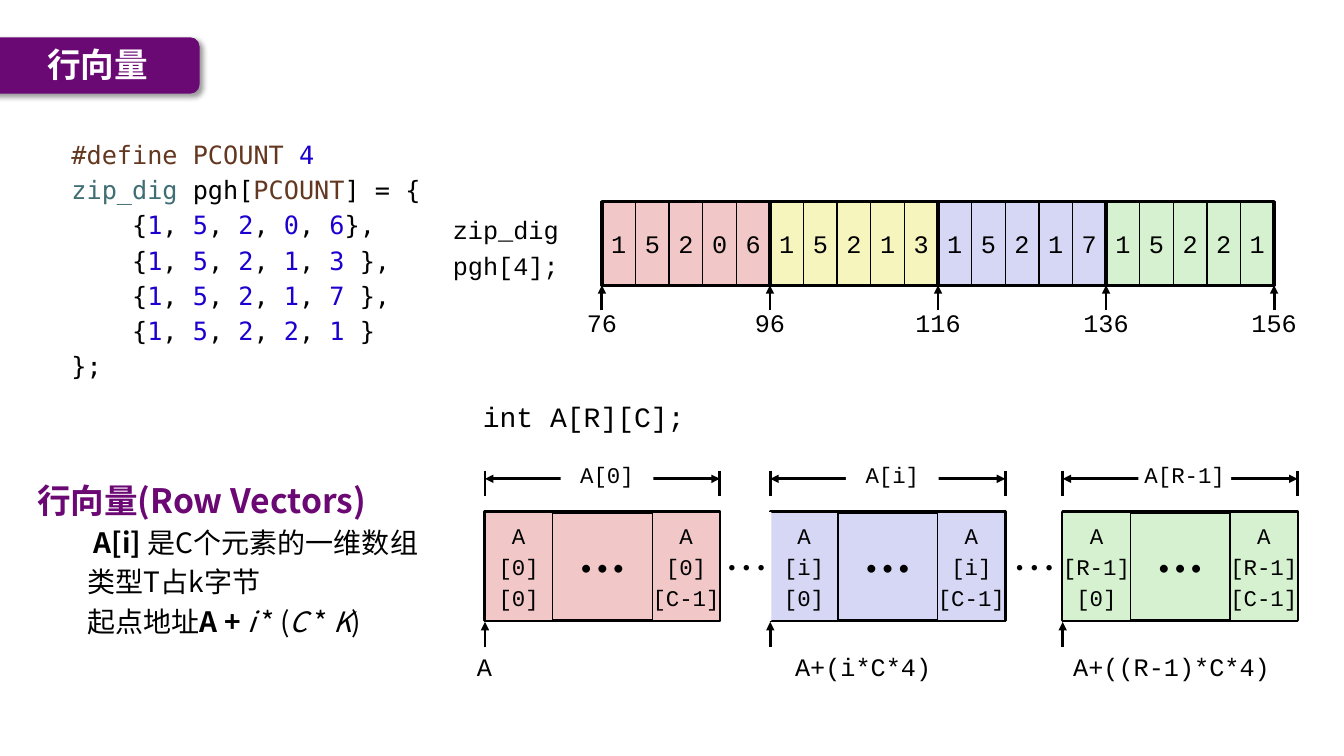
from lxml import etree
from pptx import Presentation
from pptx import util as u
from pptx.dml.color import RGBColor
from pptx.enum import shapes, text
from pptx.oxml import parse_xml
from pptx.oxml.ns import nsdecls, qn

rgb = RGBColor.from_string
MONO, CODE, SANS, DOTS = "Courier New", "DejaVu Sans Mono", "Noto Sans CJK SC", "Calibri"
BLACK, WHITE, PURPLE = "000000", "FFFFFF", "6A0874"
PINK, YELLOW, LAVENDER, GREEN = "F1C7C7", "F6F5BD", "D6D6F5", "D5F1CF"
BROWN, BLUE, TEAL = "643820", "1C00CF", "3F6E74"
CENTER, LEFT, RIGHT = text.PP_ALIGN.CENTER, text.PP_ALIGN.LEFT, text.PP_ALIGN.RIGHT

prs = Presentation()
prs.slide_width, prs.slide_height = u.Inches(13.33), u.Inches(7.5)
s = prs.slides.add_slide(prs.slide_layouts[6])


def add_box(at, paras=(), size=18, font=MONO, fill=None, line=None, align=CENTER,
            wrap=False, middle=False, kind="RECTANGLE"):
    """Add a shape, or a text box if it has no fill or line.

    A paragraph is a list of runs: (text, format values that differ).
    """
    at = [u.Inches(v) for v in at]
    if fill or line:
        sp = s.shapes.add_shape(shapes.MSO_SHAPE[kind], *at)
        sp.shadow.inherit = False
        if fill:
            sp.fill.solid()
            sp.fill.fore_color.rgb = rgb(fill)
        else:
            sp.fill.background()
        if line:
            sp.line.color.rgb, sp.line.width = rgb(BLACK), u.Pt(line)
        else:
            sp.line.fill.background()
    else:
        sp = s.shapes.add_textbox(*at)
    tf = sp.text_frame
    tf.word_wrap = wrap
    tf.vertical_anchor = text.MSO_ANCHOR.MIDDLE if middle or fill else text.MSO_ANCHOR.TOP
    for i, runs in enumerate(paras):
        p = tf.add_paragraph() if i else tf.paragraphs[0]
        p.alignment = align
        if i:
            p.space_before = u.Pt(round(0.2 * size, 1))
        for content, values in runs:
            r = p.add_run()
            r.text = content
            form = {"name": font, "size": u.Pt(size), "color": BLACK, **values}
            r.font.color.rgb = rgb(form.pop("color"))
            for name, value in form.items():
                setattr(r.font, name, value)
            etree.SubElement(r.font._element, qn("a:ea")).set("typeface", font)
    return sp


def add_line(x1, y1, x2, y2, heads=()):
    """Add a black line; heads may hold "headEnd" (start) and "tailEnd" (end)."""
    ends = [u.Inches(v) for v in (x1, y1, x2, y2)]
    c = s.shapes.add_connector(shapes.MSO_CONNECTOR.STRAIGHT, *ends)
    c.line.color.rgb, c.line.width = rgb(BLACK), u.Pt(2)
    for head in heads:
        etree.SubElement(c.line._get_or_add_ln(), qn("a:" + head)).set("type", "triangle")
    etree.SubElement(c._element.spPr, qn("a:effectLst"))


# Title banner
banner = add_box((-0.2, 0.37, 2.18, 0.56), fill=PURPLE, kind="ROUNDED_RECTANGLE")
banner_pr = banner._element.spPr
banner_pr.remove(banner_pr.find(qn("a:effectLst")))
banner_pr.append(parse_xml(
    f'<a:effectLst {nsdecls("a")}><a:outerShdw blurRad="50800" dist="38100" dir="2700000">'
    '<a:srgbClr val="000000"><a:alpha val="40000"/></a:srgbClr></a:outerShdw></a:effectLst>'))
add_box((0.37, 0.36, 1.42, 0.55), [[("行向量", {"color": WHITE, "bold": True})]],
        24, SANS, align=LEFT, wrap=True, middle=True)

# Code listing
pgh = [(1, 5, 2, 0, 6), (1, 5, 2, 1, 3), (1, 5, 2, 1, 7), (1, 5, 2, 2, 1)]
code = [
    [("#define PCOUNT ", {"color": BROWN}), ("4", {"color": BLUE})],
    [("zip_dig ", {"color": TEAL}), ("pgh[", {}), ("PCOUNT", {"color": BROWN}), ("] = {", {})],
]
for digits, closing in zip(pgh, ("},", " },", " },", " }")):
    runs = [("    {", {})]
    for i, digit in enumerate(digits):
        if i:
            runs.append((", ", {}))
        runs.append((str(digit), {"color": BLUE}))
    code.append(runs + [(closing, {})])
code.append([("};", {})])
add_box((0.61, 1.33, 6.78, 2.58), code, font=CODE, align=LEFT, wrap=True)

# Memory strip of pgh
strip_x, strip_y, cell_h = 5.97, 2, 0.83
row_w = 5 / 3
cell_w = row_w / 5
add_box((4.38, 2.08, 1.26, 0.77), [[("zip_dig", {})], [("pgh[4];", {})]], align=RIGHT)
for i in range(5):
    x = strip_x + i * row_w
    add_line(x, 3.08, x, 2.83, ["tailEnd"])
    add_box((x - 0.33, 3, 0.66, 0.4), [[(str(76 + 20 * i), {})]])
for i, (digits, color) in enumerate(zip(pgh, (PINK, YELLOW, LAVENDER, GREEN))):
    for j, digit in enumerate(digits):
        add_box((strip_x + i * row_w + j * cell_w, strip_y, cell_w, cell_h),
                [[(str(digit), {})]], fill=color, line=1)
for i in range(len(pgh)):
    add_box((strip_x + i * row_w, strip_y, row_w, cell_h), line=2.25)

# Row vector notes
bold, italic = {"bold": True}, {"italic": True}
notes = add_box((0.27, 4.63, 4.22, 1.59), [
    [("行向量(Row Vectors)", {"size": u.Pt(24), "color": "6B0874", "bold": True})],
    [("A[i] ", bold), ("是C个元素的一维数组", {})],
    [("类型T占k字节", {})],
    [("起点地址", {}), ("A + ", bold), ("i", italic), (" * (", {}), ("C ", italic),
     ("* ", {}), ("K", italic), (")", {})],
], 20, SANS, align=LEFT, wrap=True)
notes.text_frame.paragraphs[0].line_spacing = 1.2
for p, indent in zip(notes.text_frame.paragraphs, (0, 0.56, 0.5, 0.5)):
    p._p.get_or_add_pPr().set("marL", str(u.Inches(indent)))

# Rows of A: index, left edge, colour, address and its box, gap dots (left, width)
add_box((4.69, 3.91, 2.6, 0.43), [[("int A[R][C];", {})]], 20, align=LEFT)
block_y, block_w, block_h, end_w = 5.08, 2.33, 1.08, 0.67
rows = [
    ("i", 7.64, LAVENDER, "A+(i*C*4)", 7.57, 1.98, (9.9, 0.72)),
    ("R-1", 10.54, GREEN, "A+((R-1)*C*4)", 10.37, 2.5, None),
    ("0", 4.81, PINK, "A", 4.59, 0.43, (7.16, 0.49)),
]
for index, x, color, address, address_x, address_w, gap in rows:
    right = x + block_w
    if gap:
        dots = add_box((gap[0], block_y, gap[1], block_h), [[("• • •", {})]], 11, DOTS, WHITE)
        dots.text_frame.paragraphs[0].runs[0].font._element.set("spc", "125")
    add_box((x, block_y, block_w, block_h), [[("• • •", {})]], 16, DOTS, color, 2.25)
    for cell_x, column in ((x, "0"), (right - end_w, "C-1")):
        add_box((cell_x, block_y, end_w, block_h),
                [[("A", {})], [(f"[{index}]", {})], [(f"[{column}]", {})]], 16, fill=color, line=1)
    for edge in (x, right):
        add_line(edge, 4.67, edge, 4.92)
    add_line(x, 4.75, right, 4.75, ["headEnd", "tailEnd"])
    add_box((x + 0.75, 4.5, 0.92, 0.42), [[(f"A[{index}]", {})]], 16, fill=WHITE)
    add_line(x, 6.42, x, 6.17, ["tailEnd"])
    add_box((address_x, 6.41, address_w, 0.4), [[(address, {})]], wrap=True)

prs.save("out.pptx")
